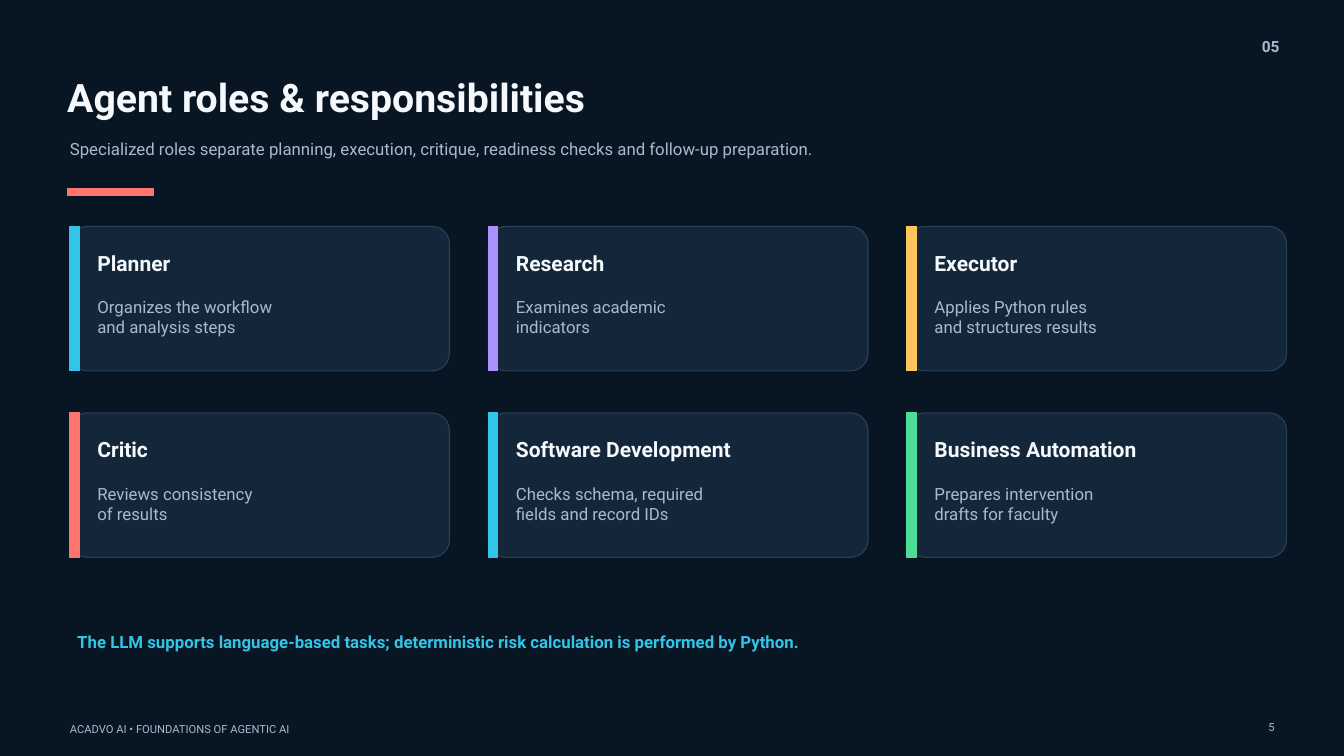
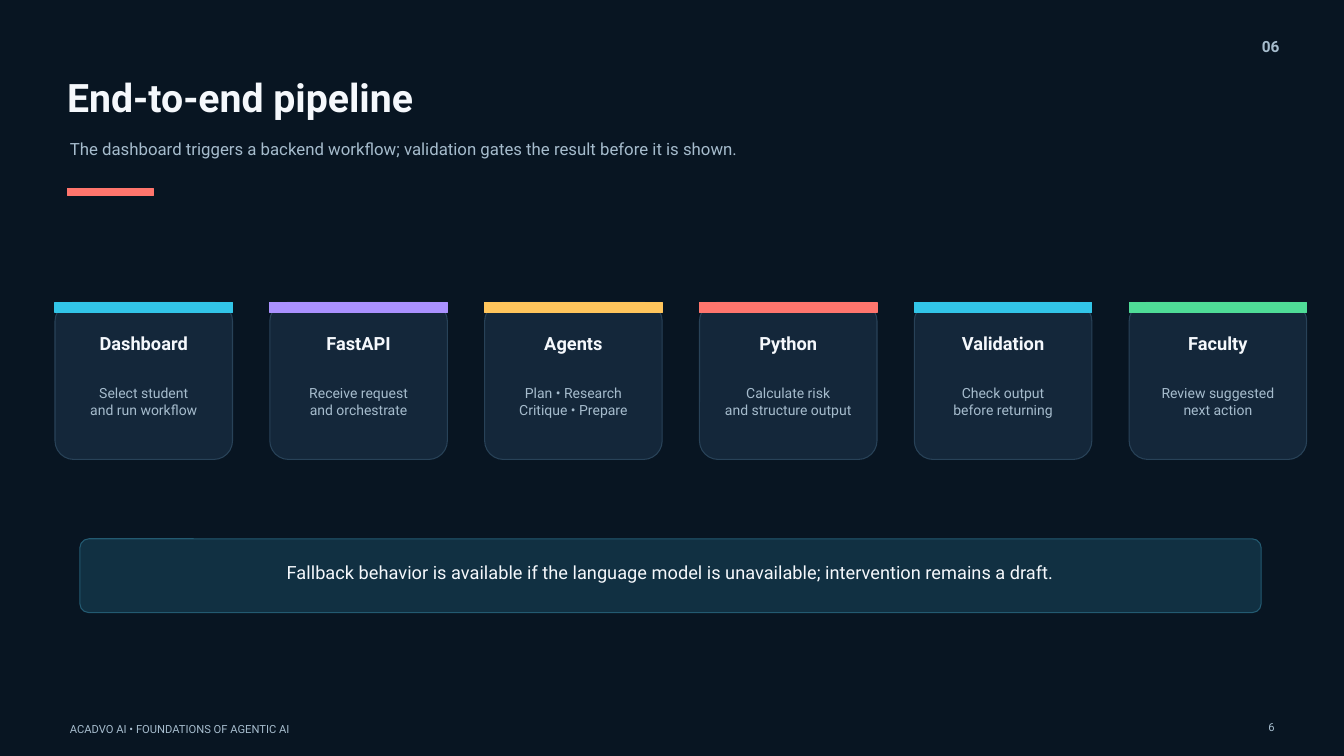
from collections import namedtuple

from pptx import Presentation
from pptx.dml.color import RGBColor
from pptx.enum.shapes import MSO_SHAPE
from pptx.enum.text import PP_ALIGN
from pptx.util import Cm, Pt

NIGHT = RGBColor(0x08, 0x15, 0x22)
PANEL = RGBColor(0x14, 0x27, 0x3A)
PANEL_EDGE = RGBColor(0x28, 0x42, 0x58)
BANNER = RGBColor(0x11, 0x30, 0x42)
BANNER_EDGE = RGBColor(0x23, 0x5A, 0x71)
WHITE = RGBColor(0xF5, 0xF8, 0xFC)
MIST = RGBColor(0xA6, 0xBC, 0xCD)
CYAN = RGBColor(0x32, 0xC5, 0xE8)
VIOLET = RGBColor(0xAA, 0x91, 0xFF)
AMBER = RGBColor(0xFF, 0xC5, 0x5C)
CORAL = RGBColor(0xFF, 0x75, 0x6D)
GREEN = RGBColor(0x4F, 0xDC, 0x97)
ACCENTS = [CYAN, VIOLET, AMBER, CORAL, CYAN, GREEN]

FONT = "Roboto"
LINE_SPACING = 1.2
FOOTER = "ACADVO AI • FOUNDATIONS OF AGENTIC AI"

# All lengths are in centimetres.
Box = namedtuple("Box", "left top width height")

STYLES = {
    "title": {"size": 42, "color": WHITE, "bold": True},
    "subtitle": {"size": 18, "color": MIST},
    "number": {"size": 16.5, "color": MIST, "bold": True, "align": PP_ALIGN.RIGHT},
    "footer": {"size": 12, "color": MIST},
    "page number": {"size": 12, "color": MIST, "align": PP_ALIGN.RIGHT},
    "role": {"size": 22.5, "color": WHITE, "bold": True},
    "role detail": {"size": 18, "color": MIST},
    "note": {"size": 18, "color": CYAN, "bold": True},
    "stage": {"size": 19.5, "color": WHITE, "bold": True, "align": PP_ALIGN.CENTER},
    "stage detail": {"size": 15, "color": MIST, "align": PP_ALIGN.CENTER},
    "banner": {"size": 19.5, "color": WHITE, "align": PP_ALIGN.CENTER},
}

ROLES = [
    ("Planner", ["Organizes the workflow", "and analysis steps"]),
    ("Research", ["Examines academic", "indicators"]),
    ("Executor", ["Applies Python rules", "and structures results"]),
    ("Critic", ["Reviews consistency", "of results"]),
    ("Software Development", ["Checks schema, required", "fields and record IDs"]),
    ("Business Automation", ["Prepares intervention", "drafts for faculty"]),
]

STAGES = [
    ("Dashboard", ["Select student", "and run workflow"]),
    ("FastAPI", ["Receive request", "and orchestrate"]),
    ("Agents", ["Plan • Research", "Critique • Prepare"]),
    ("Python", ["Calculate risk", "and structure output"]),
    ("Validation", ["Check output", "before returning"]),
    ("Faculty", ["Review suggested", "next action"]),
]


def inside(box, left, top, width, height):
    """Return a box whose position is measured from the corner of another."""
    return Box(box.left + left, box.top + top, width, height)


def add_text(page, box, lines, style):
    form = STYLES[style]
    frame = page.shapes.add_textbox(*map(Cm, box)).text_frame
    for side in ("left", "top", "right", "bottom"):
        setattr(frame, f"margin_{side}", 0)
    frame.word_wrap = True
    for index, line in enumerate(lines):
        para = frame.paragraphs[0] if index == 0 else frame.add_paragraph()
        para.alignment = form.get("align", PP_ALIGN.LEFT)
        para.line_spacing = Pt(form["size"] * LINE_SPACING)
        span = para.add_run()
        span.text = line
        values = {"name": FONT, "size": Pt(form["size"]), "bold": form.get("bold", False)}
        for name, value in values.items():
            setattr(span.font, name, value)
        span.font.color.rgb = form["color"]


def add_panel(page, box, fill, edge, radius=0):
    kind = MSO_SHAPE.ROUNDED_RECTANGLE if radius else MSO_SHAPE.RECTANGLE
    panel = page.shapes.add_shape(kind, *map(Cm, box))
    if radius:
        panel.adjustments[0] = radius / min(box.width, box.height)
    panel.shadow.inherit = False
    panel.fill.solid()
    panel.fill.fore_color.rgb = fill
    panel.line.color.rgb = edge
    panel.line.width = Pt(1.13)


def add_role_card(page, box, accent, role, detail):
    add_panel(page, box, PANEL, PANEL_EDGE, 0.66)
    add_panel(page, inside(box, 0, 0, 0.36, box.height), accent, accent)
    text_width = box.width - 2.26
    add_text(page, inside(box, 1.04, 0.91, text_width, 1.12), [role], "role")
    add_text(page, inside(box, 1.04, 2.67, text_width, 2.11), detail, "role detail")


def add_stage_card(page, box, accent, stage, detail):
    add_panel(page, box, PANEL, PANEL_EDGE, 0.71)
    add_panel(page, inside(box, 0, 0, box.width, 0.38), accent, accent)
    text_width = box.width - 0.74
    add_text(page, inside(box, 0.37, 1.12, text_width, 1.24), [stage], "stage")
    add_text(page, inside(box, 0.37, 3.1, text_width, 2.01), detail, "stage detail")


def add_grid(page, area, columns, step, card_size, add_card, entries):
    """Place one card per entry, row by row, from the corner of the area."""
    for index, (entry, accent) in enumerate(zip(entries, ACCENTS)):
        row, column = divmod(index, columns)
        box = inside(area, column * step[0], row * step[1], *card_size)
        add_card(page, box, accent, *entry)


def add_banner(page, box, text):
    add_panel(page, box, BANNER, BANNER_EDGE, 0.34)
    add_text(page, inside(box, 0.84, 0.84, box.width - 1.68, 1.04), [text], "banner")


def add_page(deck, number, title, subtitle):
    """Add a slide with the heading, accent rule and footer all slides share."""
    page = deck.slides.add_slide(deck.slide_layouts[6])
    page.background.fill.solid()
    page.background.fill.fore_color.rgb = NIGHT
    add_text(page, Box(2.54, 2.79, 45.64, 2.11), [title], "title")
    add_text(page, Box(2.64, 5.23, 44.88, 1.5), [subtitle], "subtitle")
    add_panel(page, Box(2.54, 7.14, 3.28, 0.25), CORAL, CORAL)
    add_text(page, Box(46.56, 1.4, 1.8, 1.04), [f"{number:02d}"], "number")
    add_text(page, Box(2.64, 27.3, 30.4, 0.58), [FOOTER], "footer")
    add_text(page, Box(46.76, 27.23, 1.42, 0.66), [str(number)], "page number")
    return page


def build_roles(deck):
    page = add_page(
        deck, 5, "Agent roles & responsibilities",
        "Specialized roles separate planning, execution, critique, "
        "readiness checks and follow-up preparation.")
    area = Box(2.64, 8.56, 46, 12.5)
    add_grid(page, area, 3, (15.82, 7.05), (14.35, 5.46), add_role_card, ROLES)
    add_text(page, Box(2.92, 23.88, 44.88, 1.24), [
        "The LLM supports language-based tasks; "
        "deterministic risk calculation is performed by Python."], "note")


def build_pipeline(deck):
    page = add_page(
        deck, 6, "End-to-end pipeline",
        "The dashboard triggers a backend workflow; "
        "validation gates the result before it is shown.")
    area = Box(2.08, 11.43, 47.31, 5.94)
    add_grid(page, area, 6, (8.12, 0), (6.71, 5.94), add_stage_card, STAGES)
    add_banner(page, Box(3.02, 20.37, 44.65, 2.79),
               "Fallback behavior is available if the language model is unavailable; "
               "intervention remains a draft.")


def main():
    deck = Presentation()
    deck.slide_width, deck.slide_height = Cm(50.8), Cm(28.58)
    build_roles(deck)
    build_pipeline(deck)
    deck.save("out.pptx")


if __name__ == "__main__":
    main()
